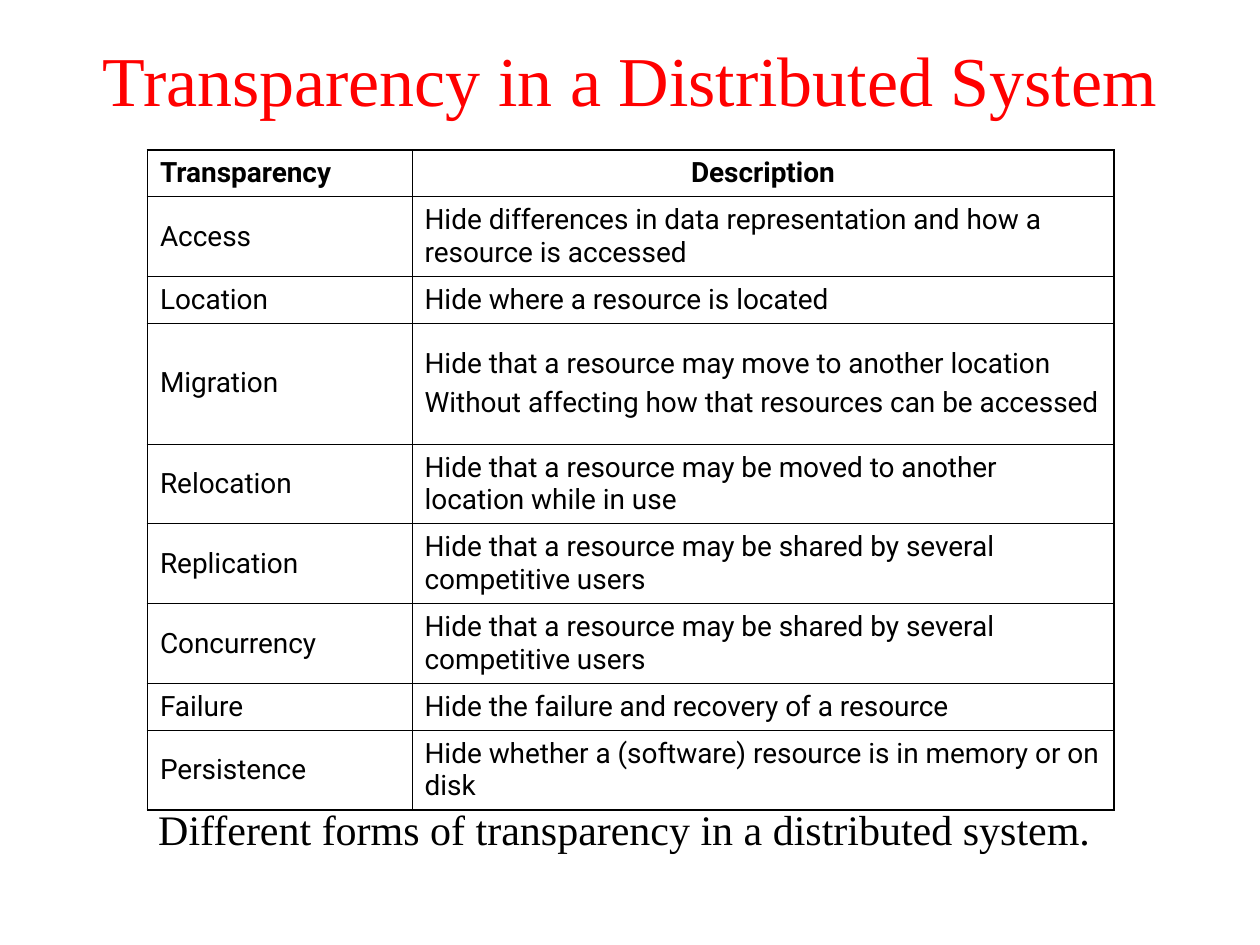
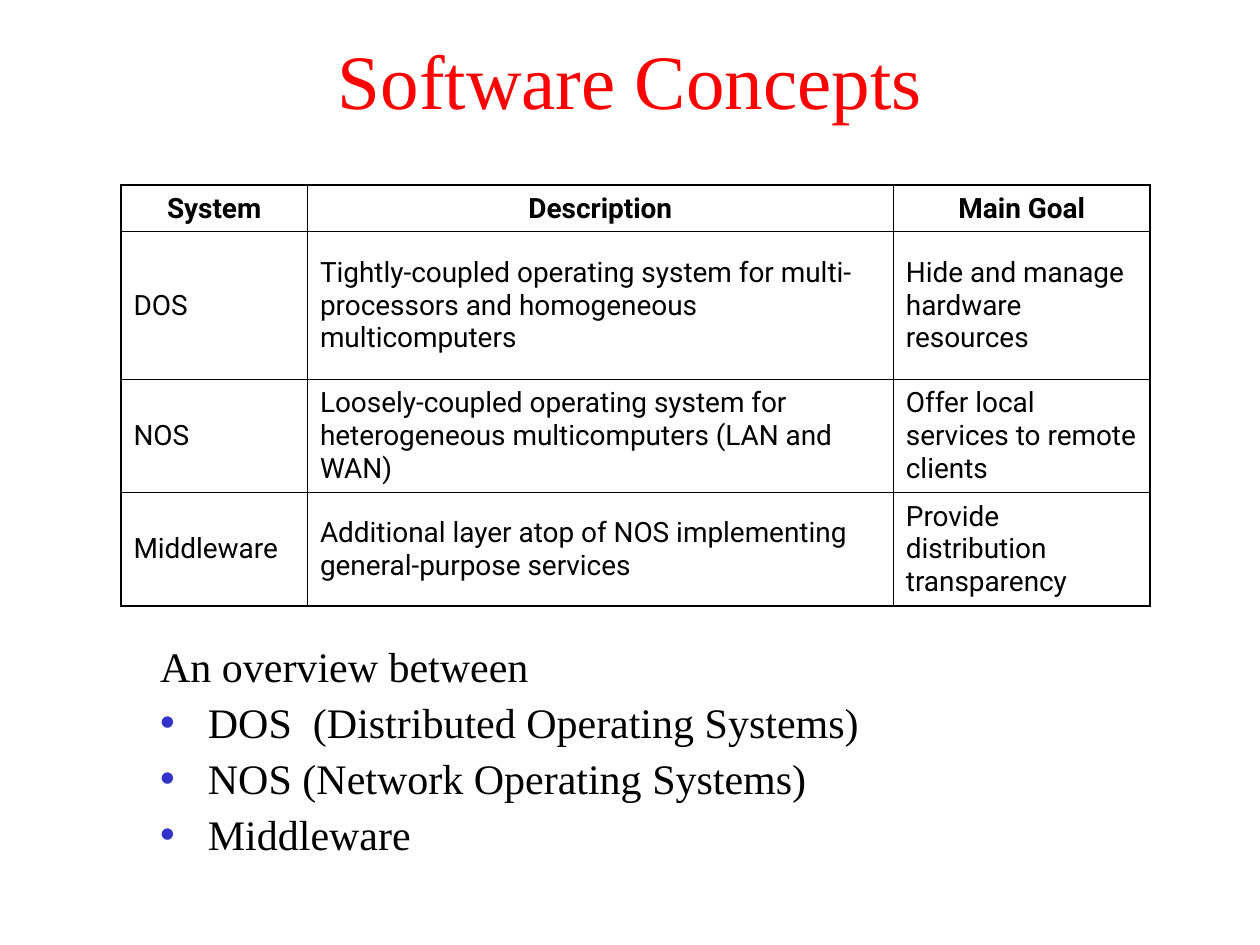
from dataclasses import dataclass

from lxml import etree
from pptx import Presentation
from pptx.dml.color import RGBColor
from pptx.enum.text import MSO_ANCHOR, MSO_AUTO_SIZE, PP_ALIGN
from pptx.oxml.ns import qn
from pptx.util import Inches, Pt

LEFT, CENTER = PP_ALIGN.LEFT, PP_ALIGN.CENTER
MIDDLE = MSO_ANCHOR.MIDDLE
FIXED_SIZE = MSO_AUTO_SIZE.NONE
TITLE_ONLY, TITLE_AND_BODY = 5, 1


@dataclass(frozen=True)
class Theme:
    title_color: str = "FF0000"
    ink: str = "000000"
    bullet_color: str = "3333CC"
    serif: str = "Times New Roman"
    sans: str = "Roboto"
    title_size: int = 44
    long_title_size: int = 40
    text_size: int = 24
    cell_size: int = 16
    outer_line: float = 1.08
    inner_line: float = 0.45


def write(frame, text, *, size, font, color, bold=False, align=LEFT,
          space_before=0, line_spacing=None):
    frame.word_wrap = True
    frame.text = text
    for index, paragraph in enumerate(frame.paragraphs):
        paragraph.alignment = align
        paragraph.space_before = Pt(space_before if index else 0)
        if line_spacing:
            paragraph.line_spacing = line_spacing
        for run in paragraph.runs:
            run.font.size = Pt(size)
            run.font.name = font
            run.font.bold = bold
            run.font.color.rgb = RGBColor.from_string(color)


def place(shape, left, top, width, height):
    shape.left, shape.top = Inches(left), Inches(top)
    shape.width, shape.height = Inches(width), Inches(height)


class Deck:
    def __init__(self, theme):
        self.theme = theme
        self.presentation = Presentation()
        self.presentation.slide_width = Inches(10)
        self.presentation.slide_height = Inches(7.5)
        self.slide = None

    def start(self, title, layout, size):
        layouts = self.presentation.slide_layouts
        self.slide = self.presentation.slides.add_slide(layouts[layout])
        heading = self.slide.shapes.title
        place(heading, 0, 0, 10, 1.25)
        heading.text_frame.auto_size = FIXED_SIZE
        heading.text_frame.vertical_anchor = MIDDLE
        write(heading.text_frame, title, size=size, font=self.theme.serif,
              color=self.theme.title_color, align=CENTER)

    def caption(self, text, left, top, width, height):
        box = self.slide.shapes.add_textbox(
            Inches(left), Inches(top), Inches(width), Inches(height))
        write(box.text_frame, text, size=self.theme.text_size,
              font=self.theme.serif, color=self.theme.ink, align=CENTER)

    def overview(self, intro, systems, left, top, width, height):
        body = self.slide.placeholders[1]
        place(body, left, top, width, height)
        frame = body.text_frame
        frame.auto_size = FIXED_SIZE
        write(frame, "\n".join([intro, *systems]), size=self.theme.text_size,
              font=self.theme.serif, color=self.theme.ink,
              space_before=6, line_spacing=0.9)
        for index, paragraph in enumerate(frame.paragraphs):
            self.bullet(paragraph, "•" if index else None)

    def bullet(self, paragraph, symbol):
        properties = paragraph._p.get_or_add_pPr()
        properties.set("marL", str(Inches(0.38)))
        properties.set("indent", str(-Inches(0.38)))
        if symbol is None:
            etree.SubElement(properties, qn("a:buNone"))
            return
        color = etree.SubElement(properties, qn("a:buClr"))
        etree.SubElement(color, qn("a:srgbClr"), val=self.theme.bullet_color)
        etree.SubElement(properties, qn("a:buChar"), char=symbol)

    def table(self, rows, left, top, widths, heights, header_aligns):
        grid = self.slide.shapes.add_table(
            len(rows), len(widths), Inches(left), Inches(top),
            Inches(sum(widths)), Inches(sum(heights))).table
        grid.first_row = grid.horz_banding = False
        for column, width in zip(grid.columns, widths):
            column.width = Inches(width)
        for row, height in zip(grid.rows, heights):
            row.height = Inches(height)
        for r, texts in enumerate(rows):
            for c, text in enumerate(texts):
                cell = grid.cell(r, c)
                cell.vertical_anchor = MIDDLE
                write(cell.text_frame, text, size=self.theme.cell_size,
                      font=self.theme.sans, color=self.theme.ink, bold=r == 0,
                      align=LEFT if r else header_aligns[c], space_before=4)
                cell.fill.background()
                self.borders(cell, {
                    "L": c == 0, "R": c == len(widths) - 1,
                    "T": r == 0, "B": r == len(rows) - 1})

    def borders(self, cell, outer_sides):
        properties = cell._tc.get_or_add_tcPr()
        for index, (side, outer) in enumerate(outer_sides.items()):
            width = self.theme.outer_line if outer else self.theme.inner_line
            line = etree.Element(qn(f"a:ln{side}"), w=str(Pt(width)))
            fill = etree.SubElement(line, qn("a:solidFill"))
            etree.SubElement(fill, qn("a:srgbClr"), val=self.theme.ink)
            properties.insert(index, line)


SHARED = "Hide that a resource may be shared by several competitive users"

TRANSPARENCY_FORMS = [
    ("Transparency", "Description"),
    ("Access", "Hide differences in data representation and how a resource is accessed"),
    ("Location", "Hide where a resource is located"),
    ("Migration", "Hide that a resource may move to another location\n"
                  "Without affecting how that resources can be accessed"),
    ("Relocation", "Hide that a resource may be moved to another location while in use"),
    ("Replication", SHARED),
    ("Concurrency", SHARED),
    ("Failure", "Hide the failure and recovery of a resource"),
    ("Persistence", "Hide whether a (software) resource is in memory or on disk"),
]

SOFTWARE_SYSTEMS = [
    ("System", "Description", "Main Goal"),
    ("DOS", "Tightly-coupled operating system for multi-processors and "
            "homogeneous multicomputers", "Hide and manage hardware resources"),
    ("NOS", "Loosely-coupled operating system for heterogeneous "
            "multicomputers (LAN and WAN)", "Offer local services to remote clients"),
    ("Middleware", "Additional layer atop of NOS implementing general-purpose services",
     "Provide distribution transparency"),
]


def main():
    theme = Theme()
    deck = Deck(theme)

    deck.start("Transparency in a Distributed System", TITLE_ONLY, theme.long_title_size)
    deck.caption("Different forms of transparency in a distributed system.",
                 0.33, 6.33, 9.25, 0.5)
    one_line, two_lines = 0.37, 0.63
    deck.table(TRANSPARENCY_FORMS, 1.17, 1.19, [2.1, 5.57],
               [one_line, two_lines, one_line, 0.96, *[two_lines] * 3, one_line, two_lines],
               [LEFT, CENTER])

    deck.start("Software Concepts", TITLE_AND_BODY, theme.title_size)
    deck.overview("An overview between",
                  ["DOS  (Distributed Operating Systems)",
                   "NOS (Network Operating Systems)",
                   "Middleware"],
                  1.17, 5.08, 8.83, 2.08)
    deck.table(SOFTWARE_SYSTEMS, 0.96, 1.47, [1.48, 4.65, 2.04],
               [one_line, 1.17, 0.9, 0.9], [CENTER] * 3)

    deck.presentation.save("out.pptx")


if __name__ == "__main__":
    main()
